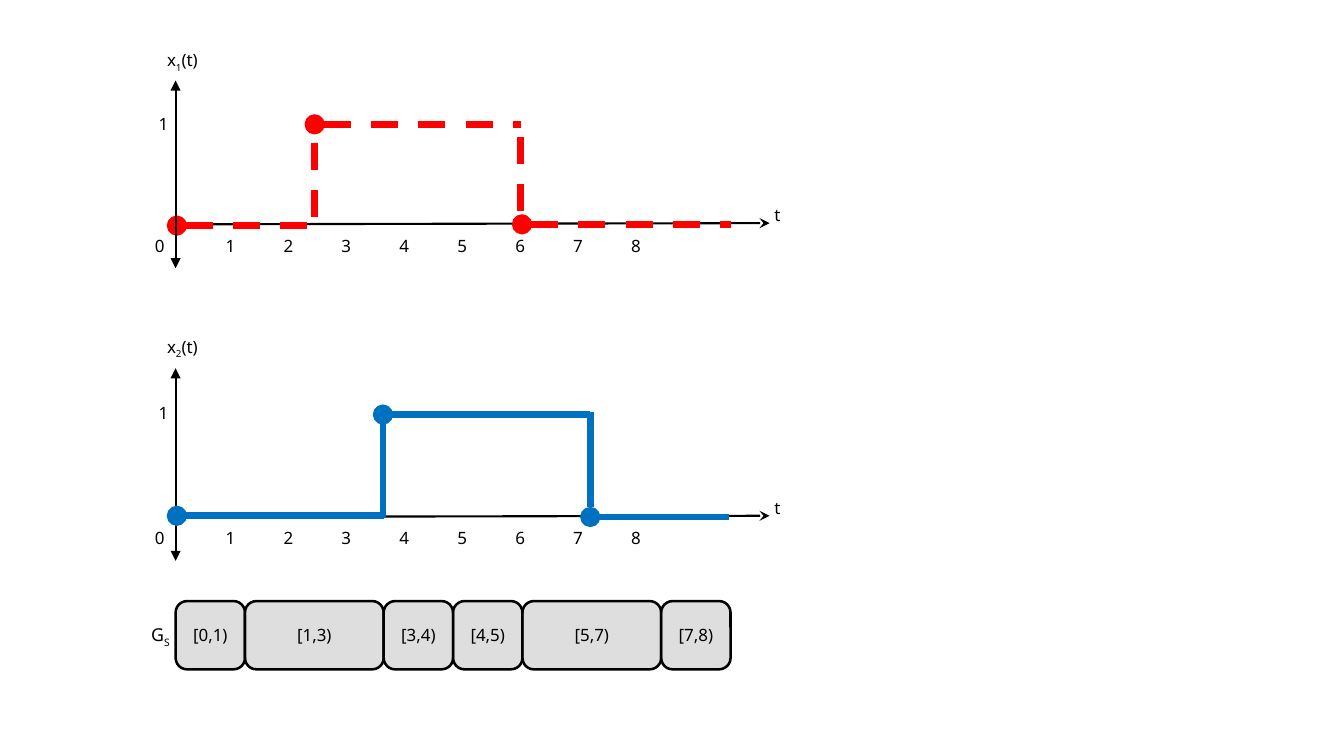
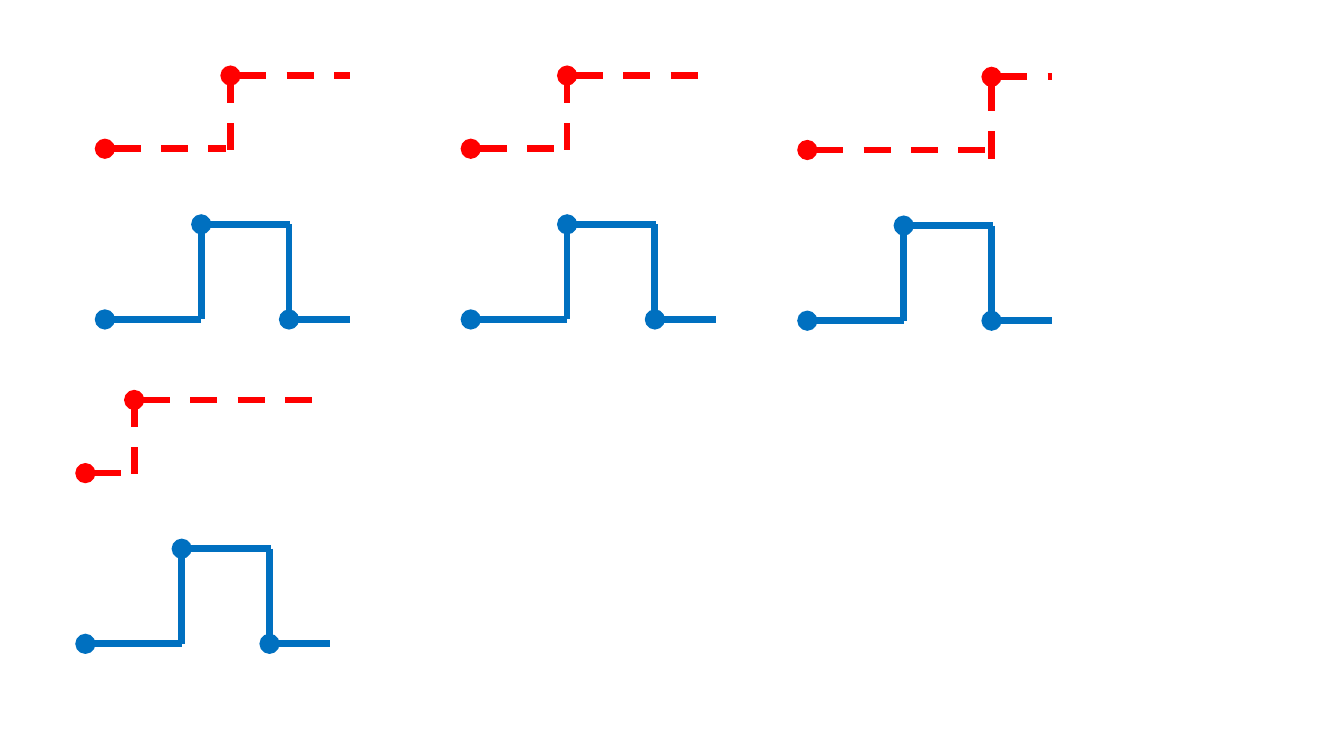
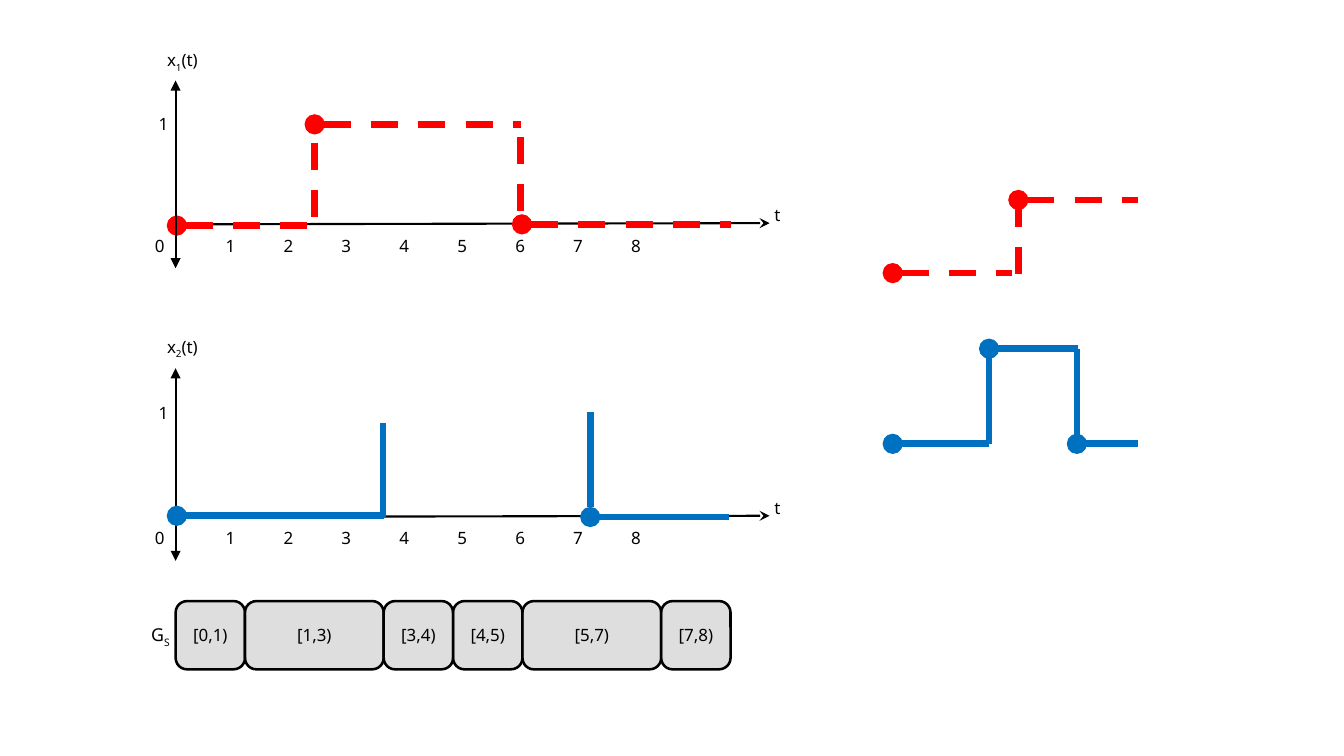
from itertools import pairwise

from lxml import etree
from pptx import Presentation
from pptx.dml.color import RGBColor
from pptx.enum import dml, shapes, text
from pptx.oxml import ns
from pptx.util import Inches, Pt

FONT = "Noto Sans"
BLACK, RED, BLUE, GREY = "000000", "FF0000", "0070C0", "BFBFBF"

# Shared time scale of the plots
ORIGIN, SIGNAL_END, AXIS_END = 1.44, 5.99, 6.31
STEPS = 8
STEP = (SIGNAL_END - ORIGIN) / STEPS
BOUNDS = [0, 1, 3, 4, 5, 7, 8]
TICK_LEFT, FIRST_TAB, TAB_STEP = 1.27, 0.58, 0.475


def colour(hex_code):
    return RGBColor.from_string(hex_code)


def add_xml(parent, tag, **attributes):
    return etree.SubElement(parent, ns.qn(tag), attributes)


# Basic elements
def add_line(s, start, end, hex_code, width, head=None, tail=None, dashed=False):
    line = s.shapes.add_connector(
        shapes.MSO_CONNECTOR.STRAIGHT, *(Inches(v) for v in (*start, *end)))
    line.line.color.rgb = colour(hex_code)
    line.line.width = Pt(width)
    if dashed:
        line.line.dash_style = dml.MSO_LINE.DASH
    ln = line.line._get_or_add_ln()
    for tag, kind in (("a:headEnd", head), ("a:tailEnd", tail)):
        if kind:
            add_xml(ln, tag, type=kind)
    add_xml(line._element.spPr, "a:effectLst")


def add_run(p, words, size=10, subscript=False):
    r = p.add_run()
    r.text = words
    r.font.name = FONT
    r.font.size = Pt(size)
    r.font.color.rgb = colour(BLACK)
    if subscript:
        r._r.get_or_add_rPr().set("baseline", "-25000")


def add_label(s, left, top, width, words, sub="", rest="", size=10):
    sp = s.shapes.add_textbox(Inches(left), Inches(top), Inches(width), Inches(0.3))
    tf = sp.text_frame
    tf.word_wrap = True
    tf.margin_left = tf.margin_right = 0
    p = tf.paragraphs[0]
    add_run(p, words, size)
    if sub:
        add_run(p, sub, size, subscript=True)
    if rest:
        add_run(p, rest, size)
    return p


def add_interval(s, first, last):
    sp = s.shapes.add_shape(
        shapes.MSO_SHAPE.ROUNDED_RECTANGLE, Inches(ORIGIN + first * STEP),
        Inches(4.93), Inches((last - first) * STEP), Inches(0.56))
    sp.shadow.inherit = False
    sp.fill.solid()
    sp.fill.fore_color.rgb = colour(GREY)
    fill = sp._element.spPr.find(ns.qn("a:solidFill"))
    add_xml(fill[0], "a:alpha", val="50000")
    sp.line.color.rgb = colour(BLACK)
    sp.line.width = Pt(1.5)
    tf = sp.text_frame
    tf.margin_left = tf.margin_right = 0
    tf.vertical_anchor = text.MSO_ANCHOR.MIDDLE
    p = tf.paragraphs[0]
    p.alignment = text.PP_ALIGN.CENTER
    add_run(p, f"[{first},{last})")


# Axes and signals
def add_time_axis(s, y):
    add_line(s, (AXIS_END, y), (ORIGIN, y + 0.01), BLACK, 1.25, head="stealth")
    add_label(s, 6.35, y - 0.2, 0.2, "t")
    p = add_label(s, TICK_LEFT, y + 0.05, 5,
                  "\t".join(str(n) for n in range(STEPS + 1)))
    tabs = add_xml(p._p.get_or_add_pPr(), "a:tabLst")
    for n in range(STEPS):
        stop = Inches(FIRST_TAB + n * TAB_STEP)
        add_xml(tabs, "a:tab", pos=str(stop), algn="l")


def add_value_axis(s, top, bottom, index, name_top, one_top):
    add_line(s, (ORIGIN, top), (ORIGIN, bottom), BLACK, 1.25, "triangle", "triangle")
    add_label(s, 1.37, name_top, 0.4, "x", index, "(t)")
    add_label(s, 1.3, one_top, 0.12, "1")


def add_signal(s, hex_code, levels, edges, dashed=False):
    """Levels (left, right, y) begin with a dot; edges (x, top, bottom) do not."""
    for left, right, y in levels:
        add_line(s, (left, y), (right, y), hex_code, 4, "oval", dashed=dashed)
    for x, top, bottom in edges:
        add_line(s, (x, top), (x, bottom), hex_code, 4, dashed=dashed)


def add_plots(s, with_pulse_top=True):
    # Upper plot
    add_time_axis(s, 1.83)
    add_signal(s, RED,
               [(1.45, 2.59, 1.85), (2.58, 4.27, 1.02), (4.28, SIGNAL_END, 1.84)],
               [(2.58, 1.17, 1.94), (4.27, 1.12, 1.89)], dashed=True)
    add_value_axis(s, 0.66, 2.2, "1", 0.36, 0.88)

    # Lower plot
    add_time_axis(s, 4.23)
    add_value_axis(s, 3.02, 4.6, "2", 2.71, 3.25)
    levels = [(1.45, 3.15, 4.23), (4.84, 5.98, 4.24)]
    if with_pulse_top:
        levels.append((3.14, 4.84, 3.4))
    add_signal(s, BLUE, levels, [(3.14, 3.47, 4.25), (4.84, 3.38, 4.16)])

    # Row of intervals
    add_label(s, 1.24, 5.07, 0.2, "G", "S", size=10.5)
    for first, last in pairwise(BOUNDS):
        add_interval(s, first, last)


def add_signal_pair(s, x, y, low_end, rise, drop=0):
    """Dashed step above a pulse; x is the left end, y the top of the pulse."""
    right, step_top, low = x + 2.01, y - 1.22, y + 0.78
    add_signal(s, RED,
               [(x + rise, right, step_top), (x, x + low_end, step_top + 0.6)],
               [(x + rise, step_top + drop, step_top + drop + 0.77)], dashed=True)
    up, down = x + 0.79, x + 1.51
    add_signal(s, BLUE,
               [(x, up, low), (up, down + 0.01, y), (down, right, low)],
               [(up, y, low), (down, y, low)])


def main():
    prs = Presentation()
    prs.slide_width, prs.slide_height = Inches(11.02), Inches(6.2)
    plots, pairs, both = (prs.slides.add_slide(prs.slide_layouts[6]) for _ in range(3))

    # Slide 1: both plots
    add_plots(plots)

    # Slide 2: four pairs of signals
    add_signal_pair(pairs, 0.86, 1.84, 0.99, 1.03)
    add_signal_pair(pairs, 3.86, 1.84, 0.79, 0.79)
    add_signal_pair(pairs, 6.62, 1.85, 1.5, 1.51, drop=0.06)
    add_signal_pair(pairs, 0.7, 4.5, 0.32, 0.4)

    # Slide 3: plots and one pair
    add_plots(both, with_pulse_top=False)
    add_signal_pair(both, 7.32, 2.86, 0.98, 1.03)

    prs.save("out.pptx")


if __name__ == "__main__":
    main()
